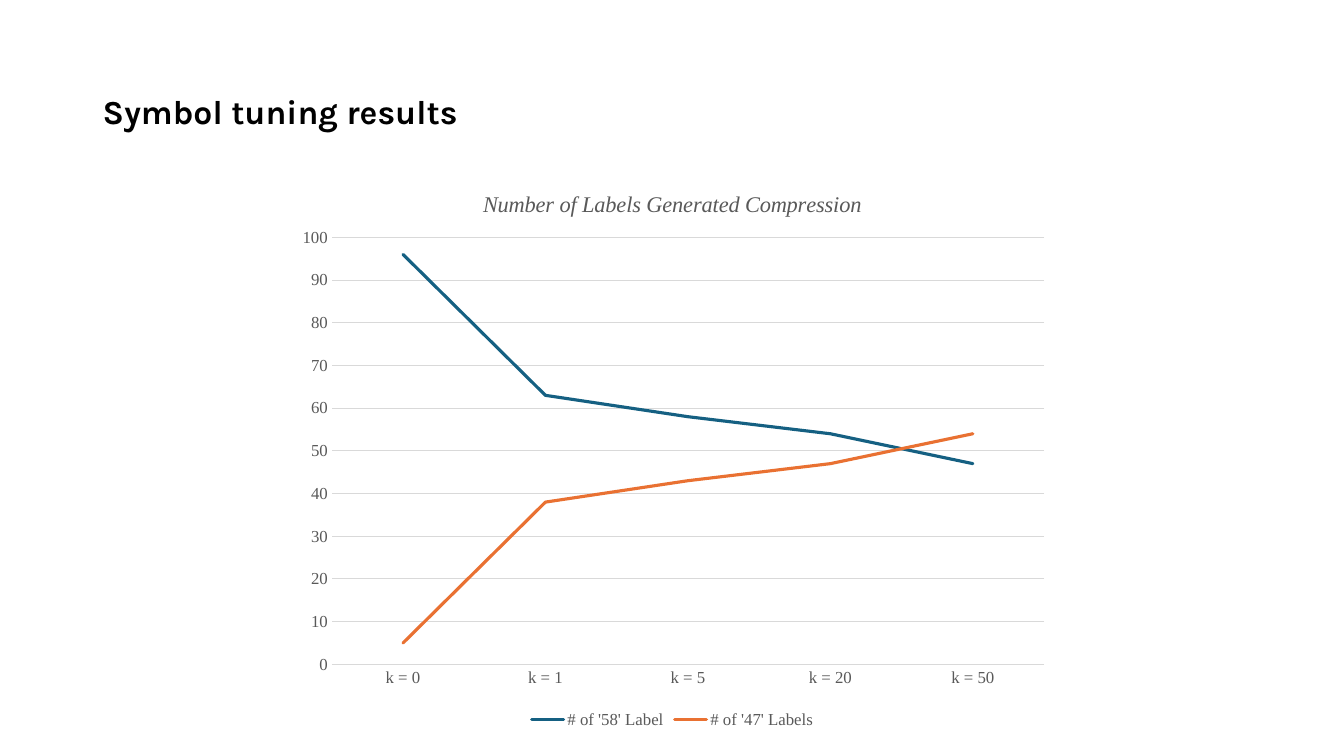
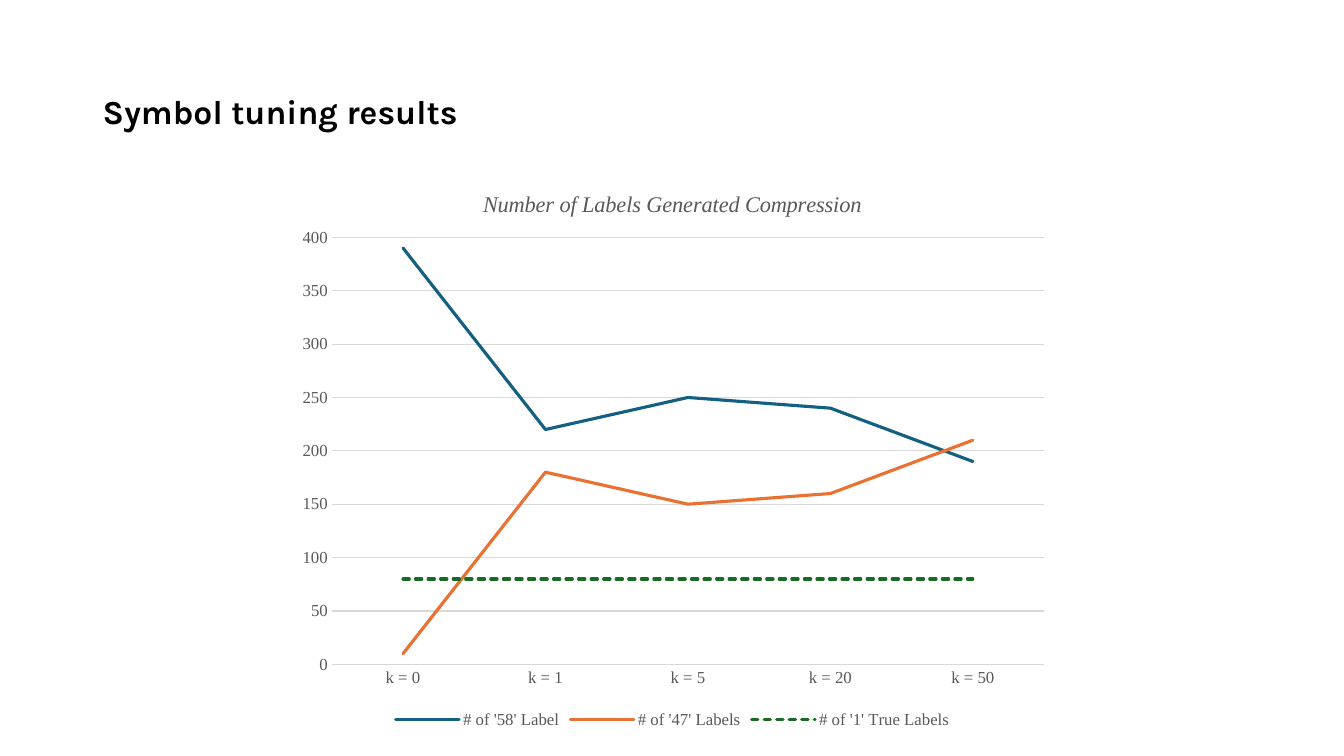
from dataclasses import dataclass

from lxml import etree
from pptx import Presentation
from pptx import util as u
from pptx.chart.data import CategoryChartData
from pptx.dml.color import RGBColor
from pptx.enum import chart as ce
from pptx.enum import dml, text
from pptx.oxml.ns import qn


@dataclass(frozen=True)
class Theme:
    ink: RGBColor = RGBColor.from_string("000000")
    muted: RGBColor = RGBColor.from_string("595959")
    grid: RGBColor = RGBColor.from_string("D9D9D9")
    blue: RGBColor = RGBColor.from_string("156082")
    orange: RGBColor = RGBColor.from_string("E97132")
    green: RGBColor = RGBColor.from_string("196B24")
    title_font: str = "Karla"
    chart_font: str = "Times New Roman"
    title_size: int = 24
    chart_title_size: int = 16
    label_size: int = 12
    grid_width: float = 0.75
    series_width: float = 2.25


theme = Theme()


def set_font(font, name, size, color, bold=False, italic=False):
    font.name = name
    font.size = u.Pt(size)
    font.color.rgb = color
    font.bold = bold
    font.italic = italic


def set_layout(parent, index, **settings):
    for old in parent.findall(qn("c:layout")):
        parent.remove(old)
    layout = etree.Element(qn("c:layout"))
    manual = etree.SubElement(layout, qn("c:manualLayout"))
    for tag, value in settings.items():
        etree.SubElement(manual, qn(f"c:{tag}")).set("val", str(value))
    parent.insert(index, layout)


categories = ["k = 0", "k = 1", "k = 5", "k = 20", "k = 50"]
styles = [
    ("# of '58' Label", theme.blue, None),
    ("# of '47' Labels", theme.orange, None),
    ("# of '1' True Labels", theme.green, dml.MSO_LINE.SQUARE_DOT),
]
results = [
    (100, 10, [[96, 63, 58, 54, 47], [5, 38, 43, 47, 54]]),
    (400, 50, [[390, 220, 250, 240, 190], [10, 180, 150, 160, 210], [80] * 5]),
]

deck = Presentation()
deck.slide_width = u.Inches(13.33)
deck.slide_height = u.Inches(7.5)

for maximum, step, rows in results:
    page = deck.slides.add_slide(deck.slide_layouts[6])

    box = page.shapes.add_textbox(u.Inches(0.92), u.Inches(0.4), u.Inches(11.5), u.Inches(1.45))
    box.text_frame.word_wrap = True
    box.text_frame.vertical_anchor = text.MSO_ANCHOR.MIDDLE
    para = box.text_frame.paragraphs[0]
    para.text = "Symbol tuning results"
    para.line_spacing = 0.9
    set_font(para.font, theme.title_font, theme.title_size, theme.ink, bold=True)

    data = CategoryChartData()
    data.categories = categories
    for (name, color, dash), values in zip(styles, rows):
        data.add_series(name, values)
    chart = page.shapes.add_chart(
        ce.XL_CHART_TYPE.LINE,
        u.Inches(2.83), u.Inches(1.62), u.Inches(7.68), u.Inches(5.65),
        data,
    ).chart
    set_font(chart.font, theme.chart_font, theme.label_size, theme.muted)

    chart.has_title = True
    heading = chart.chart_title.text_frame.paragraphs[0]
    heading.text = "Number of Labels Generated Compression"
    set_font(heading.font, theme.chart_font, theme.chart_title_size, theme.muted, italic=True)
    chart.chart_title.include_in_layout = False

    chart.has_legend = True
    chart.legend.position = ce.XL_LEGEND_POSITION.BOTTOM
    chart.legend.include_in_layout = False
    set_font(chart.legend.font, theme.chart_font, theme.label_size, theme.muted)

    for axis in (chart.category_axis, chart.value_axis):
        axis.major_tick_mark = ce.XL_TICK_MARK.NONE
        axis.minor_tick_mark = ce.XL_TICK_MARK.NONE
        set_font(axis.tick_labels.font, theme.chart_font, theme.label_size, theme.muted)
    chart.value_axis.minimum_scale = 0
    chart.value_axis.maximum_scale = maximum
    chart.value_axis.major_unit = step
    chart.value_axis.format.line.fill.background()
    chart.value_axis.has_major_gridlines = True
    for line in (chart.category_axis.format.line, chart.value_axis.major_gridlines.format.line):
        line.color.rgb = theme.grid
        line.width = u.Pt(theme.grid_width)

    plot = chart.plots[0]
    plot.vary_by_categories = False
    for series, (name, color, dash) in zip(plot.series, styles):
        series.smooth = False
        series.marker.style = ce.XL_MARKER_STYLE.NONE
        series.format.line.color.rgb = color
        series.format.line.width = u.Pt(theme.series_width)
        if dash:
            series.format.line.dash_style = dash

    root = chart.element
    for outline in root.iterfind(f".//{qn('c:ser')}/{qn('c:spPr')}/{qn('a:ln')}"):
        outline.set("cap", "rnd")
    set_layout(root.find(f".//{qn('c:title')}"), 1, xMode="edge", yMode="edge", x=0.25, y=0.04)
    set_layout(
        root.find(f".//{qn('c:plotArea')}"), 0,
        layoutTarget="inner", xMode="edge", yMode="edge", x=0.06, y=0.13, w=0.92, h=0.75,
    )

deck.save("out.pptx")
